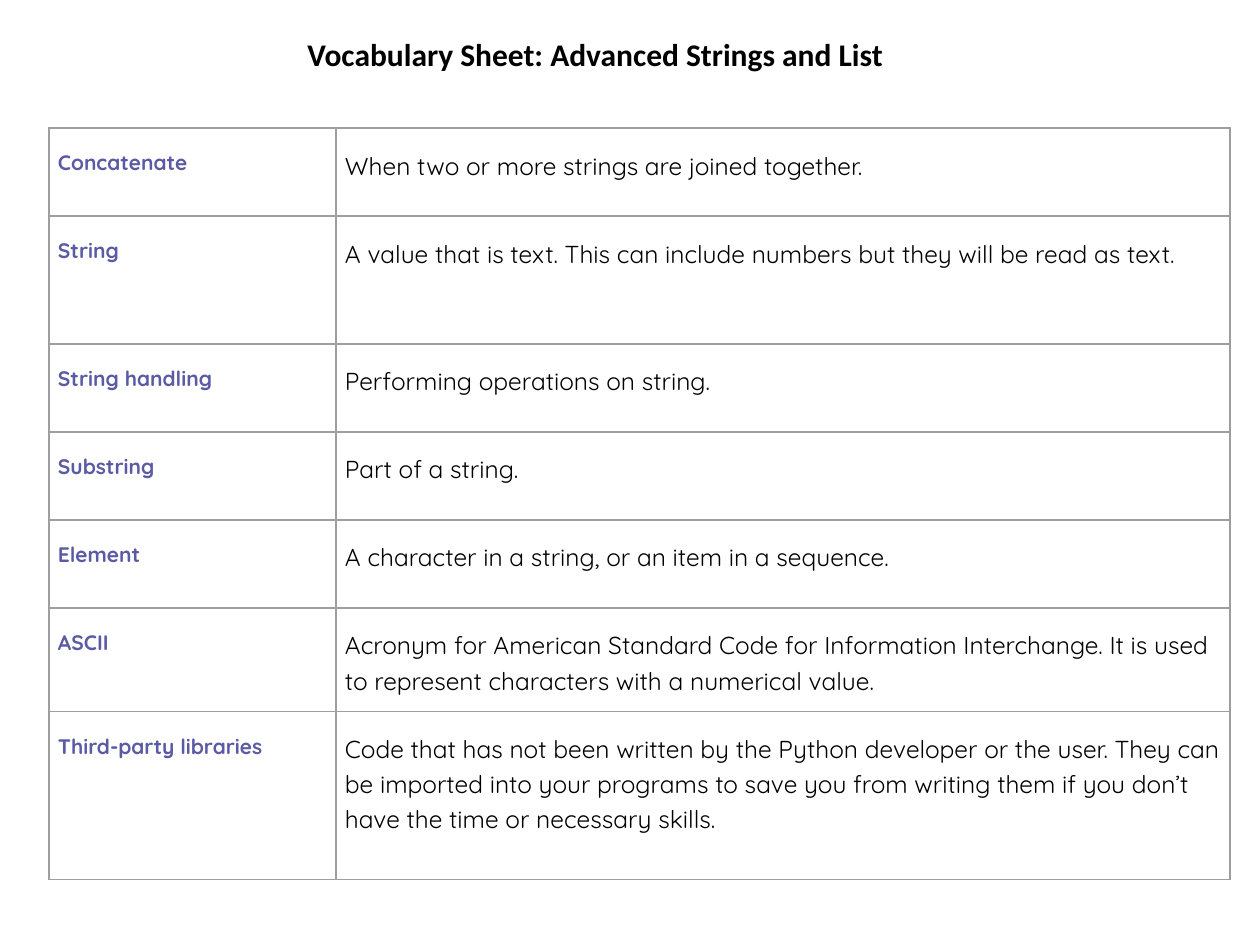
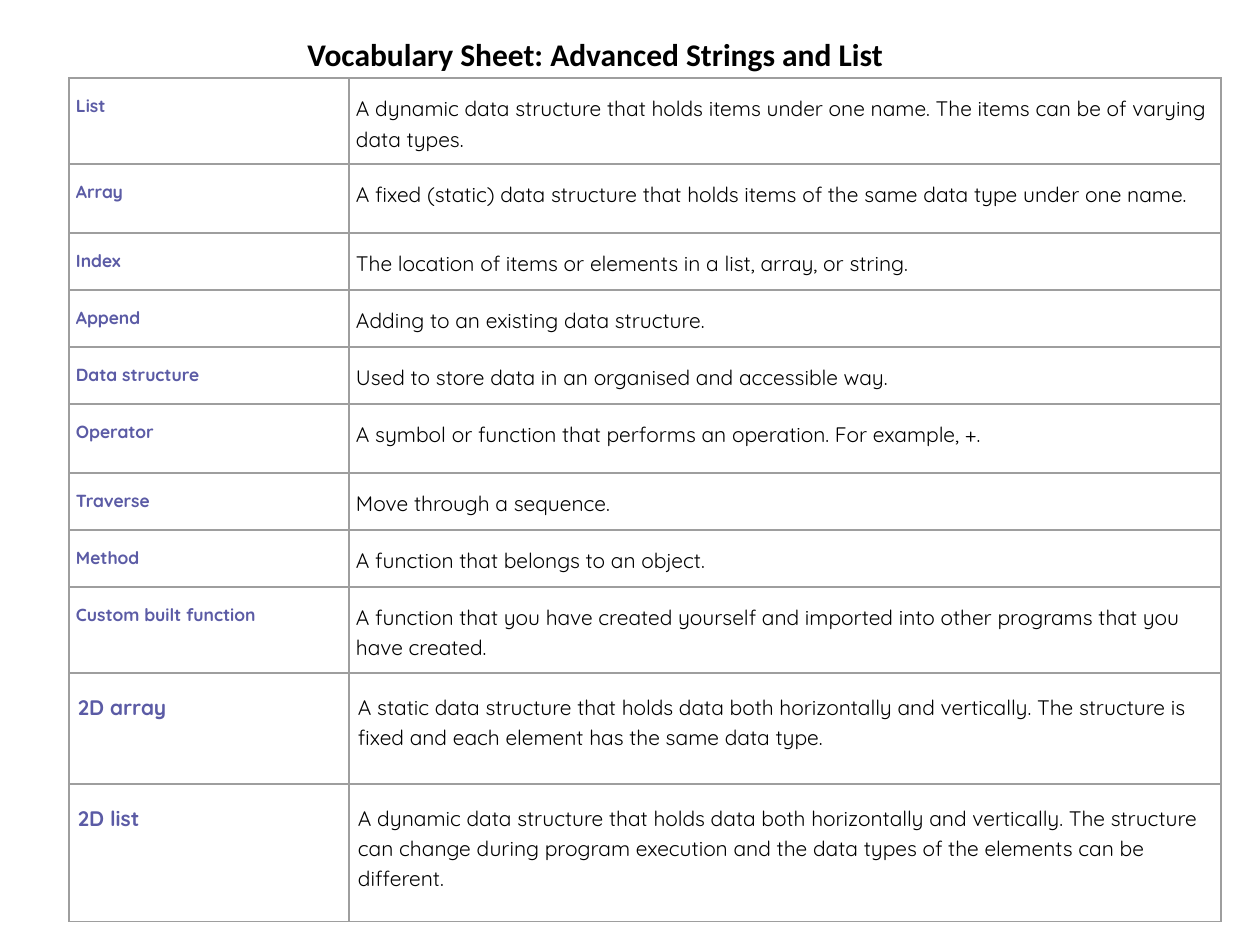
from dataclasses import dataclass

from lxml import etree
from pptx import Presentation
from pptx import util as u
from pptx.dml.color import RGBColor
from pptx.enum import text
from pptx.oxml import ns

EMU_PER_PX = 914400 / 126
PAGE_SIZE = (1260, 945)
TITLE = "Vocabulary Sheet: Advanced Strings and List"
TITLE_BOX = (128, 29, 935, 50)
TITLE_FONT, TABLE_FONT = "Calibri", "Quicksand"
BLACK, PURPLE, GREY = "000000", "5B5BA5", "9E9E9E"


@dataclass
class RowStyle:
    term_size: int
    meaning_size: int
    side_margin: int
    top_margin: int


LARGE = RowStyle(12, 14, 9, 18)
MEDIUM = RowStyle(12, 12, 9, 18)
SMALL = RowStyle(10, 12, 7, 14)

# Each entry: row height, row style, term, meaning.
STRING_TERMS = [
    (88, LARGE, "Concatenate", "When two or more strings are joined together."),
    (128, LARGE, "String",
     "A value that is text. This can include numbers but they will be read as text."),
    (88, LARGE, "String handling", "Performing operations on string."),
    (88, LARGE, "Substring", "Part of a string."),
    (88, LARGE, "Element", "A character in a string, or an item in a sequence."),
    (89, LARGE, "ASCII",
     "Acronym for American Standard Code for Information Interchange. "
     "It is used to represent characters with a numerical value."),
    (168, LARGE, "Third-party libraries",
     "Code that has not been written by the Python developer or the user. "
     "They can be imported into your programs to save you from writing them "
     "if you don’t have the time or necessary skills."),
]
LIST_TERMS = [
    (69, SMALL, "List",
     "A dynamic data structure that holds items under one name. "
     "The items can be of varying data types."),
    (69, SMALL, "Array",
     "A fixed (static) data structure that holds items of the same data type under one name."),
    (48, SMALL, "Index", "The location of items or elements in a list, array, or string."),
    (48, SMALL, "Append", "Adding to an existing data structure."),
    (48, SMALL, "Data structure", "Used to store data in an organised and accessible way."),
    (69, SMALL, "Operator",
     "A symbol or function that performs an operation. For example, +."),
    (48, SMALL, "Traverse", "Move through a sequence."),
    (53, SMALL, "Method", "A function that belongs to an object."),
    (69, SMALL, "Custom built function",
     "A function that you have created yourself and imported into other programs "
     "that you have created."),
    (111, MEDIUM, "2D array",
     "A static data structure that holds data both horizontally and vertically. "
     "The structure is fixed and each element has the same data type."),
    (138, MEDIUM, "2D list",
     "A dynamic data structure that holds data both horizontally and vertically. "
     "The structure can change during program execution and the data types of the "
     "elements can be different."),
]


def px(length):
    return u.Emu(round(length * EMU_PER_PX))


def rgb(hex_code):
    return RGBColor.from_string(hex_code)


def add_span(para, words, font, size, color, bold=False):
    span = para.add_run()
    span.text = words
    span.font.name = font
    span.font.size = u.Pt(size)
    span.font.bold = bold
    span.font.color.rgb = rgb(color)


def add_title(page):
    box = page.shapes.add_textbox(*map(px, TITLE_BOX))
    frame = box.text_frame
    frame.word_wrap = True
    frame.auto_size = text.MSO_AUTO_SIZE.SHAPE_TO_FIT_TEXT
    para = frame.paragraphs[0]
    para.alignment = text.PP_ALIGN.CENTER
    add_span(para, TITLE, TITLE_FONT, 18, BLACK, bold=True)


def set_borders(cell):
    properties = cell._tc.get_or_add_tcPr()
    for side in ("lnL", "lnR", "lnT", "lnB"):
        line = etree.SubElement(properties, ns.qn(f"a:{side}"), w=str(u.Pt(1)))
        fill = etree.SubElement(line, ns.qn("a:solidFill"))
        etree.SubElement(fill, ns.qn("a:srgbClr"), val=GREY)


def fill_cell(cell, style, words, size, color, bold):
    cell.margin_left = cell.margin_right = px(style.side_margin)
    cell.margin_top = cell.margin_bottom = px(style.top_margin)
    set_borders(cell)
    cell.fill.background()
    para = cell.text_frame.paragraphs[0]
    para.line_spacing = 1.15
    add_span(para, words, TABLE_FONT, size, color, bold)


def add_vocabulary(page, left, top, widths, entries):
    height = sum(entry[0] for entry in entries)
    table = page.shapes.add_table(
        len(entries), len(widths), px(left), px(top), px(sum(widths)), px(height)
    ).table
    table.first_row = table.horz_banding = False
    for column, width in zip(table.columns, widths):
        column.width = px(width)
    for row, (row_height, style, term, meaning) in zip(table.rows, entries):
        row.height = px(row_height)
        term_cell, meaning_cell = row.cells
        fill_cell(term_cell, style, term, style.term_size, PURPLE, True)
        fill_cell(meaning_cell, style, meaning, style.meaning_size, BLACK, False)


def main():
    deck = Presentation()
    deck.slide_width, deck.slide_height = map(px, PAGE_SIZE)
    blank = deck.slide_layouts[6]
    for left, top, widths, entries in (
        (49, 128, (287, 894), STRING_TERMS),
        (69, 78, (280, 872), LIST_TERMS),
    ):
        page = deck.slides.add_slide(blank)
        add_title(page)
        add_vocabulary(page, left, top, widths, entries)
    deck.save("out.pptx")


if __name__ == "__main__":
    main()
